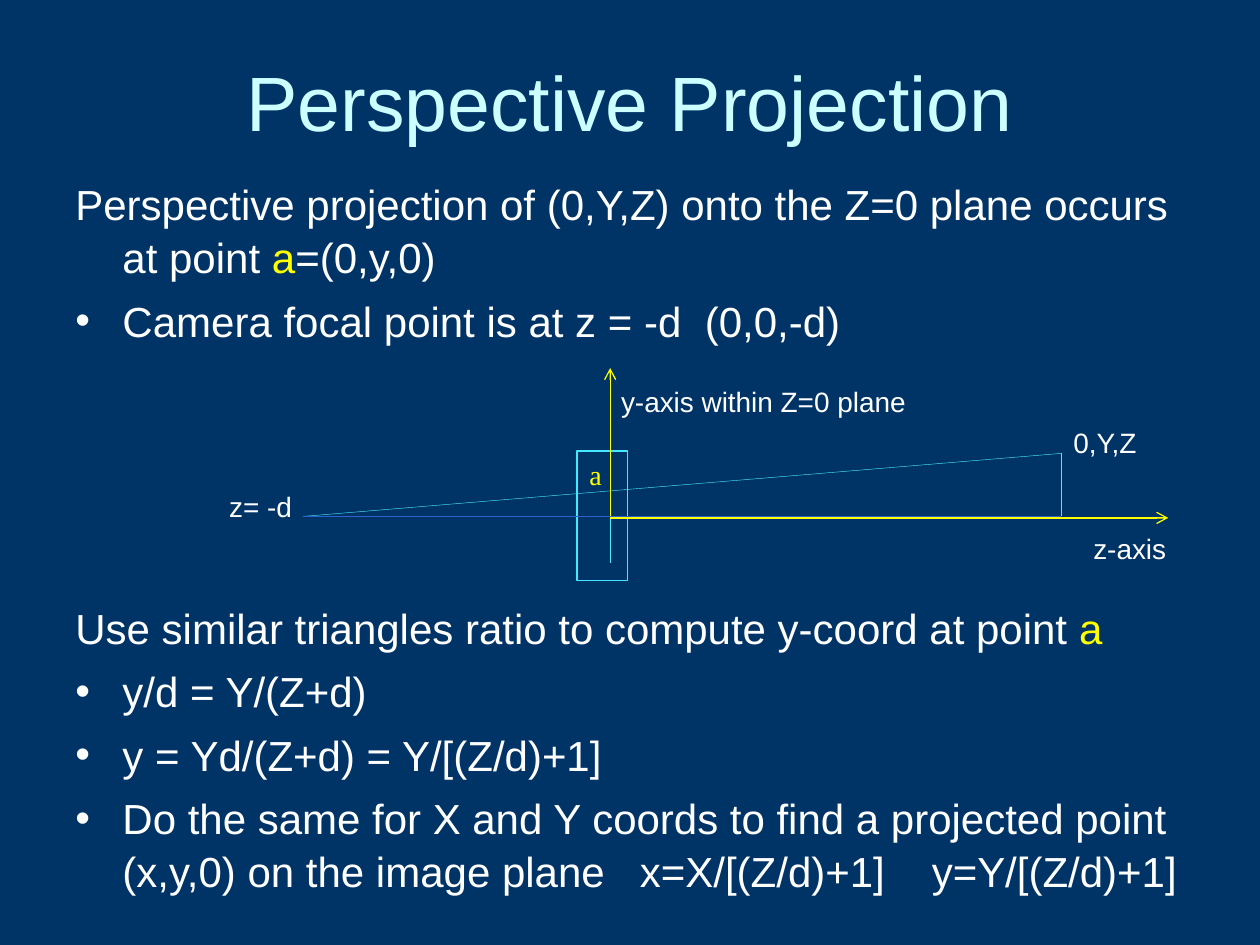
from dataclasses import dataclass

from lxml.etree import SubElement
from pptx import Presentation
from pptx.dml.color import RGBColor
from pptx.enum.shapes import MSO_CONNECTOR, MSO_SHAPE
from pptx.enum.text import MSO_ANCHOR, PP_ALIGN
from pptx.oxml.ns import qn
from pptx.util import Cm, Pt


@dataclass(frozen=True)
class Theme:
    background: RGBColor = RGBColor.from_string("003366")
    heading: RGBColor = RGBColor.from_string("CCFFFF")
    text: RGBColor = RGBColor.from_string("FFFFFF")
    accent: RGBColor = RGBColor.from_string("FFFF00")
    ray: RGBColor = RGBColor.from_string("46E8FF")
    base: RGBColor = RGBColor.from_string("2E62CB")
    sans: str = "Arial"
    serif: str = "Times New Roman"
    heading_size: Pt = Pt(44)
    body_size: Pt = Pt(24)
    label_size: Pt = Pt(16)


theme = Theme()


def style(font, size, color, name=theme.sans):
    font.size = size
    font.name = name
    font.color.rgb = color


def add_text_box(left, top, width, height):
    frame = slide.shapes.add_textbox(Cm(left), Cm(top), Cm(width), Cm(height)).text_frame
    frame.word_wrap = True
    return frame


deck = Presentation()
deck.slide_width = Cm(25.4)
deck.slide_height = Cm(19.05)
slide = deck.slides.add_slide(deck.slide_layouts[6])
slide.background.fill.solid()
slide.background.fill.fore_color.rgb = theme.background

heading = add_text_box(1.27, 0.83, 22.86, 2.41)
heading.vertical_anchor = MSO_ANCHOR.MIDDLE
heading.text = "Perspective Projection"
heading.paragraphs[0].alignment = PP_ALIGN.CENTER
style(heading.paragraphs[0].runs[0].font, theme.heading_size, theme.heading)

SPACE = 6.67
DIAGRAM_GAP = 145.4
statements = [
    (False, 0, [("Perspective projection of (0,Y,Z) onto the Z=0 plane occurs at point ", 0),
                ("a", 0), ("=(0,y,0)", 0)]),
    (True, 6, [("Camera focal point is at z = -d", 0), (" ", 1), ("(0,0,-d)", 0)]),
    (False, DIAGRAM_GAP, [("Use similar triangles ratio to compute y-coord at point ", 0), ("a", 0)]),
    (True, 6, [("y/d = Y/(Z+d)", 0)]),
    (True, 6, [("y = Yd/(Z+d) = Y/[(Z/d)+1]", 0)]),
    (True, 6, [("Do the same for X and Y coords to find a projected point (x,y,0) on the image plane", 0),
               (" ", 2), ("x=X/[(Z/d)+1]", 0), (" ", 3), ("y=Y/[(Z/d)+1]", 0)]),
]
body = add_text_box(1.27, 3.43, 22.86, 15.0)
for index, (bulleted, gap, pieces) in enumerate(statements):
    statement = body.add_paragraph() if index else body.paragraphs[0]
    statement.space_before = Pt(gap)
    statement.line_spacing = 1.05
    properties = statement._p.get_or_add_pPr()
    properties.set("marL", str(Cm(0.95)))
    properties.set("indent", str(-Cm(0.95)))
    if bulleted:
        SubElement(properties, qn("a:buFont")).set("typeface", theme.sans)
        SubElement(properties, qn("a:buChar")).set("char", "•")
    else:
        SubElement(properties, qn("a:buNone"))
    for words, extra_spaces in pieces:
        run = statement.add_run()
        run.text = words
        style(run.font, theme.body_size, theme.accent if words == "a" else theme.text)
        if extra_spaces:
            run._r.get_or_add_rPr().set("spc", str(round(extra_spaces * SPACE * 100)))

image_plane = slide.shapes.add_shape(MSO_SHAPE.RECTANGLE, Cm(11.63), Cm(9.09), Cm(1.02), Cm(2.62))
image_plane.shadow.inherit = False
image_plane.fill.background()
image_plane.line.color.rgb = theme.ray
image_plane.line.width = Pt(0.75)
image_plane.text_frame.vertical_anchor = MSO_ANCHOR.TOP
image_plane.text_frame.text = "a"
image_plane.text_frame.paragraphs[0].alignment = PP_ALIGN.LEFT
style(image_plane.text_frame.paragraphs[0].runs[0].font, theme.label_size, theme.accent, theme.serif)

plane_x, point_x, focal_x = 12.3, 21.39, 6.11
point_y, axis_y = 9.14, 10.41
segments = [
    (plane_x, 9.6, plane_x, 11.35, theme.ray, 0.75, False),
    (point_x, point_y, focal_x, axis_y, theme.ray, 0.25, False),
    (point_x, point_y, point_x, axis_y, theme.ray, 0.25, False),
    (focal_x, axis_y, point_x, axis_y, theme.base, 0.75, False),
    (plane_x, axis_y, plane_x, 7.42, theme.accent, 0.75, True),
    (plane_x, 10.44, 23.55, 10.44, theme.accent, 0.75, True),
]
for x1, y1, x2, y2, color, weight, arrow in segments:
    segment = slide.shapes.add_connector(MSO_CONNECTOR.STRAIGHT, Cm(x1), Cm(y1), Cm(x2), Cm(y2))
    segment.line.color.rgb = color
    segment.line.width = Pt(weight)
    if arrow:
        SubElement(segment.line._get_or_add_ln(), qn("a:tailEnd")).set("type", "arrow")
    SubElement(segment._element.spPr, qn("a:effectLst"))

labels = [
    ("0,Y,Z", 21.39, 8.46, 2.11, 1.07),
    ("z= -d", 4.37, 9.75, 1.9, 0.61),
    ("y-axis within Z=0 plane", 12.27, 7.62, 6.35, 0.84),
    ("z-axis", 21.79, 10.59, 2.97, 0.61),
]
for words, *place in labels:
    label = add_text_box(*place)
    label.text = words
    style(label.paragraphs[0].runs[0].font, theme.label_size, theme.text)

deck.save("out.pptx")
